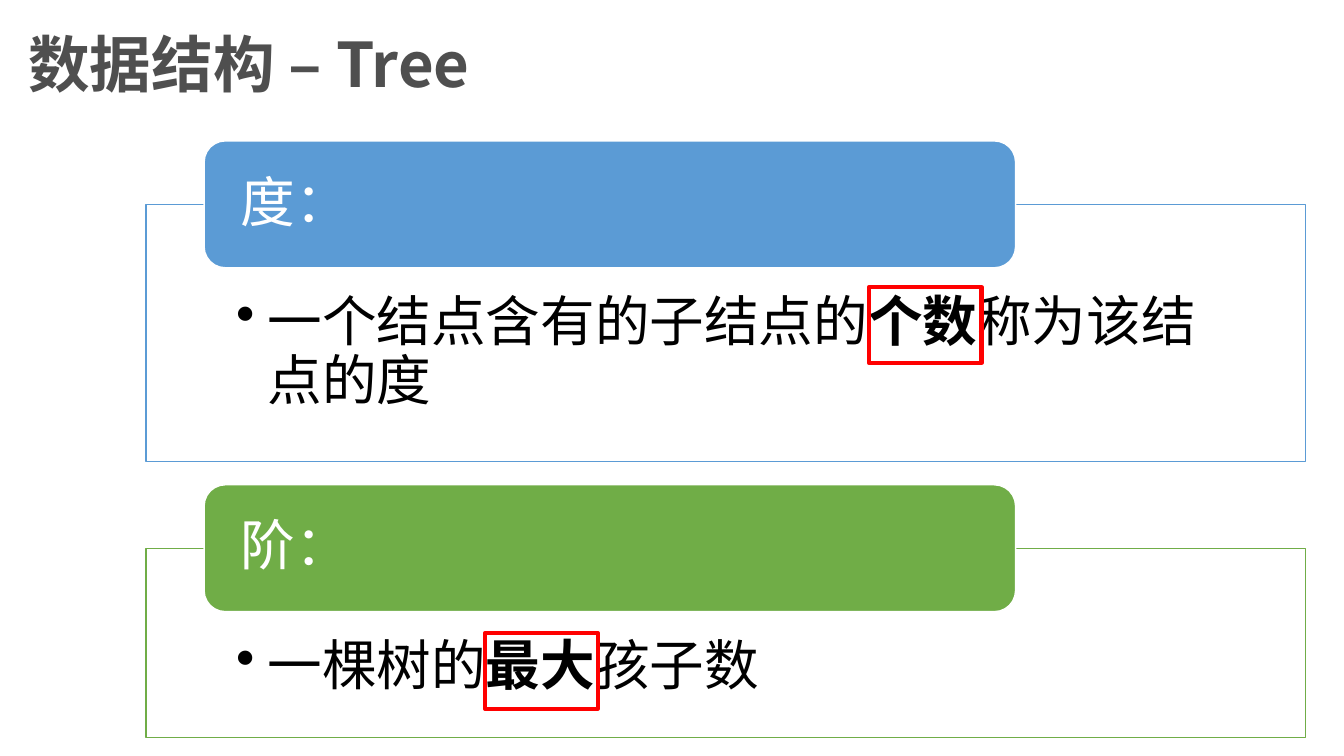
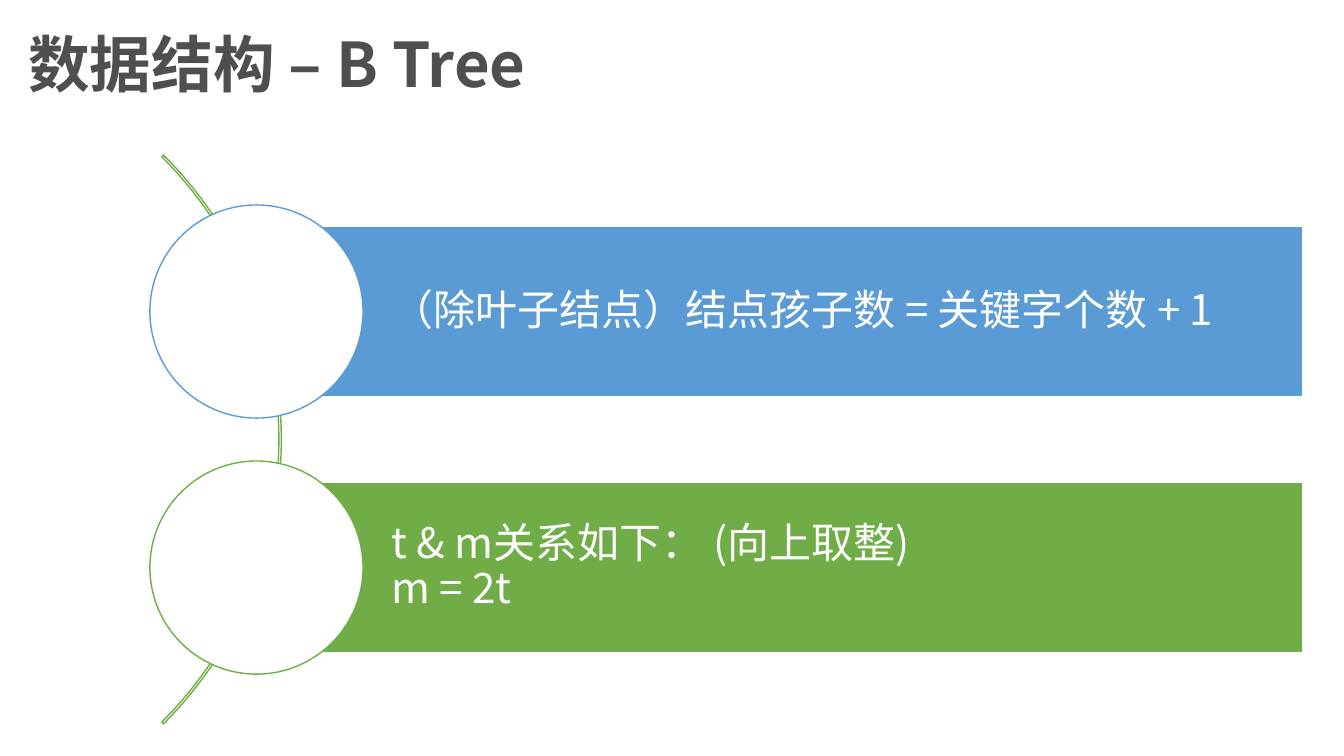
from lxml import etree
from pptx import Presentation
from pptx.dml import color
from pptx.enum import shapes, text
from pptx.oxml import ns
from pptx.util import Pt

FONT = "Noto Sans CJK SC"
COLORS = {
    "title": "4F4F4F",
    "blue": "5B9BD5",
    "green": "70AD47",
    "red": "FF0000",
    "white": "FFFFFF",
    "black": "000000",
}
SHAPE = shapes.MSO_SHAPE


def rgb(name):
    """Return the named colour."""
    return color.RGBColor.from_string(COLORS[name])


def style_text(frame, size, tint, insets, anchor, bold=False):
    """Format the frame, its paragraphs and all their runs."""
    frame.word_wrap = True
    frame.auto_size = text.MSO_AUTO_SIZE.NONE
    frame.vertical_anchor = anchor
    (frame.margin_left, frame.margin_top,
     frame.margin_right, frame.margin_bottom) = [Pt(inset) for inset in insets]
    for para in frame.paragraphs:
        para.alignment = text.PP_ALIGN.LEFT
        para.line_spacing = 0.9
        for span in para.runs:
            font = span.font
            font.size, font.name, font.bold = Pt(size), FONT, bold
            font.color.rgb = rgb(tint)
            east = etree.SubElement(span._r.get_or_add_rPr(), ns.qn("a:ea"))
            east.set("typeface", FONT)


def add_bullet(para, indent):
    """Give the paragraph a hanging round bullet."""
    props = para._p.get_or_add_pPr()
    props.set("marL", str(Pt(indent)))
    props.set("indent", str(-Pt(indent)))
    etree.SubElement(props, ns.qn("a:buChar")).set("char", "•")


def add_box(page, kind, box, fill, line, weight=1):
    """Add a preset shape with an optional fill and an outline."""
    shape = page.shapes.add_shape(kind, *[Pt(length) for length in box])
    shape.shadow.inherit = False
    if fill:
        shape.fill.solid()
        shape.fill.fore_color.rgb = rgb(fill)
    else:
        shape.fill.background()
    shape.line.color.rgb = rgb(line)
    shape.line.width = Pt(weight)
    return shape


def add_page(deck, title):
    """Add a title-only slide with the shared title style."""
    page = deck.slides.add_slide(deck.slide_layouts[5])
    holder = page.shapes.title
    holder.left, holder.top = Pt(13), Pt(-3.6)
    holder.width, holder.height = Pt(828), Pt(104.4)
    holder.text_frame.text = title
    style_text(holder.text_frame, 44, "title", (7.2, 3.6, 7.2, 3.6),
               text.MSO_ANCHOR.MIDDLE, bold=True)
    return page


def add_definition(page, box, tint, term, parts):
    """Add an outlined panel with a bulleted definition and a term label."""
    left, top, width, height = box
    panel = add_box(page, SHAPE.RECTANGLE, box, "white", tint)
    para = panel.text_frame.paragraphs[0]
    for part in parts:
        para.add_run().text = part
    style_text(panel.text_frame, 39, "black", (64.2, 64.2, 64.2, 21.6),
               text.MSO_ANCHOR.TOP)
    para.runs[1].font.bold = True
    add_bullet(para, 22.5)

    label_height = 90.6
    label = add_box(
        page, SHAPE.ROUNDED_RECTANGLE,
        (left + 41.4, top - label_height / 2, width * 0.7, label_height),
        tint, "white")
    label.text_frame.text = term
    style_text(label.text_frame, 39, "white", (21.6, 0, 21.6, 0),
               text.MSO_ANCHOR.MIDDLE)


def add_fact(page, box, tint, wording):
    """Add a coloured bar with a circle centred on its left edge."""
    left, top, width, height = box
    bar = add_box(page, SHAPE.RECTANGLE, box, tint, "white")
    bar.text_frame.text = wording
    style_text(bar.text_frame, 30, "white", (96.6, 5.8, 5.8, 5.8),
               text.MSO_ANCHOR.MIDDLE)
    size = height * 1.25
    add_box(page, SHAPE.OVAL,
            (left - size / 2, top + (height - size) / 2, size, size),
            "white", tint)


def build_tree(deck):
    """Build the slide that defines degree and order."""
    page = add_page(deck, "数据结构 – Tree")
    left, width = 104.4, 828
    add_definition(page, (left, 146, width, 183.6), "blue", "度：",
                   ("一个结点含有的子结点的", "个数", "称为该结点的度"))
    add_definition(page, (left, 391.6, width, 135.4), "green", "阶：",
                   ("一棵树的", "最大", "孩子数"))
    for mark_left, mark_top in ((620.6, 205.2), (346.4, 452.2)):
        add_box(page, SHAPE.RECTANGLE, (mark_left, mark_top, 80.6, 54),
                None, "red", 3)


def build_b_tree(deck):
    """Build the slide with two facts strung along an arc."""
    page = add_page(deck, "数据结构 – B Tree")
    arc = add_box(page, SHAPE.BLOCK_ARC, (-373.7, 26.6, 574.6, 574.6),
                  None, "green")
    for index, value in enumerate((189, 27, 0.003)):
        arc.adjustments[index] = value
    facts = (
        ("blue", "（除叶子结点）结点孩子数 = 关键字个数 + 1"),
        ("green", "t & m关系如下： (向上取整)\vm = 2t"),
    )
    for row, (tint, wording) in enumerate(facts):
        add_fact(page, (183.2, 161.6 + row * 182.9, 747.2, 121.8),
                 tint, wording)


def main():
    """Build and save the deck."""
    deck = Presentation()
    deck.slide_width, deck.slide_height = Pt(960), Pt(540)
    build_tree(deck)
    build_b_tree(deck)
    deck.save("out.pptx")


if __name__ == "__main__":
    main()
